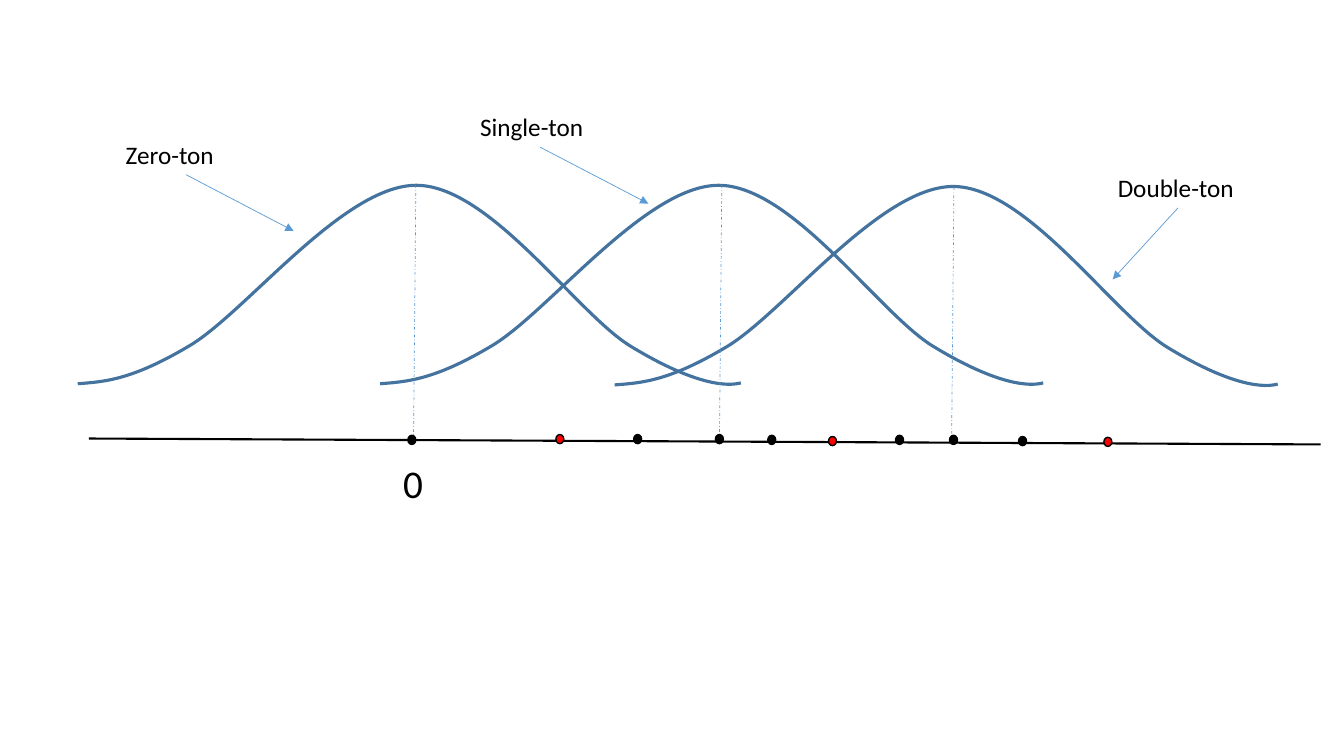
from lxml.etree import SubElement
from pptx import Presentation
from pptx.dml.color import RGBColor
from pptx.enum.dml import MSO_LINE_DASH_STYLE as DASH
from pptx.enum.shapes import MSO_CONNECTOR, MSO_SHAPE
from pptx.enum.text import MSO_AUTO_SIZE
from pptx.oxml.ns import qn
from pptx.util import Cm, Pt

BLACK, RED, BLUE, CURVE_BLUE = "000000", "FF0000", "5B9BD5", "43739E"

# Cubic Bezier points of a bell, in cm from its top-left corner:
# every third one lies on the curve, the others are its controls
BELL = [(0, 5), (0.69, 4.95), (1.37, 4.9), (2.79, 4.06), (4.22, 3.23),
        (6.68, 0), (8.53, 0), (10.39, 0), (12.57, 3.23), (13.94, 4.06),
        (15.29, 4.88), (16.21, 5.11), (16.71, 4.98)]
LABEL_WIDTH, LABEL_HEIGHT = 3.53, 1.02
DOT_WIDTH, DOT_HEIGHT = 0.2, 0.23
GUIDE_SHIFT, GUIDE_HEIGHT = -0.06, 6.53


def color(hex_string):
    return RGBColor.from_string(hex_string)


def style_line(line, hex_color, width):
    line.color.rgb = color(hex_color)
    line.width = Pt(width)


def add_line(diagram, start, end, hex_color, width, dash=None, arrow=False):
    line = diagram.add_connector(
        MSO_CONNECTOR.STRAIGHT, *(Cm(value) for value in (*start, *end)))
    style_line(line.line, hex_color, width)
    if dash:
        line.line.dash_style = dash
    properties = line._element.spPr
    if arrow:
        SubElement(properties.get_or_add_ln(), qn("a:tailEnd"), type="triangle")
    SubElement(properties, qn("a:effectLst"))


def add_text(diagram, text, left, top, width, height, size=18, hex_color=BLACK):
    box = diagram.add_textbox(Cm(left), Cm(top), Cm(width), Cm(height))
    frame = box.text_frame
    frame.word_wrap = True
    frame.auto_size = MSO_AUTO_SIZE.SHAPE_TO_FIT_TEXT
    span = frame.paragraphs[0].add_run()
    span.text = text
    span.font.name = "Calibri"
    span.font.size = Pt(size)
    span.font.color.rgb = color(hex_color)


def bend_segments(shape, points):
    """Turn the straight segments of a freeform into cubic Bezier curves."""
    segments = list(shape._element.iter(qn("a:lnTo")))
    for index, segment in enumerate(segments):
        segment.tag = qn("a:cubicBezTo")
        for child in list(segment):
            segment.remove(child)
        for x, y in points[3 * index + 1:3 * index + 4]:
            SubElement(segment, qn("a:pt"), x=str(Cm(x)), y=str(Cm(y)))


def add_bell(diagram, left, top):
    anchors = [(Cm(x), Cm(y)) for x, y in BELL[::3]]
    builder = diagram.build_freeform(*anchors[0])
    builder.add_line_segments(anchors[1:], close=False)
    bell = builder.convert_to_shape(Cm(left), Cm(top))
    bend_segments(bell, BELL)
    bell.shadow.inherit = False
    bell.fill.background()
    style_line(bell.line, CURVE_BLUE, 2.25)


def add_guide(diagram, left, top):
    add_line(diagram, (left, top), (left + GUIDE_SHIFT, top + GUIDE_HEIGHT),
             BLUE, 0.5, dash=DASH.DASH_DOT)


def add_dots(diagram, fill, corners):
    for left, top in corners:
        dot = diagram.add_shape(MSO_SHAPE.OVAL, Cm(left), Cm(top),
                                Cm(DOT_WIDTH), Cm(DOT_HEIGHT))
        dot.shadow.inherit = False
        dot.fill.solid()
        dot.fill.fore_color.rgb = color(fill)
        style_line(dot.line, BLACK, 1)


def add_label(diagram, text, left, top, target):
    """Add a curve's name with an arrow from below it to the target."""
    add_text(diagram, text, left, top, LABEL_WIDTH, LABEL_HEIGHT)
    start = (left + LABEL_WIDTH / 2, top + LABEL_HEIGHT)
    add_line(diagram, start, target, BLUE, 0.5, arrow=True)


def build_diagram(page):
    diagram = page.shapes.add_group_shape().shapes
    add_line(diagram, (2.24, 11.05), (33.28, 11.2), BLACK, 1.5)
    for corner in ((1.96, 4.67), (9.58, 4.67), (15.49, 4.7)):
        add_bell(diagram, *corner)
    for peak in ((10.48, 4.67), (18.19, 4.67), (24.04, 4.72)):
        add_guide(diagram, *peak)
    add_text(diagram, "0", 9.91, 11.46, 1.17, 1.45, size=28)
    add_dots(diagram, BLACK, [
        (10.28, 10.97), (15.97, 10.95), (19.35, 10.97), (23.93, 10.97),
        (22.57, 10.97), (25.67, 11), (18.03, 10.95)])
    add_label(diagram, "Zero-ton", 2.92, 3.38, (7.4, 5.82))
    add_label(diagram, "Single-ton", 11.85, 2.69, (16.34, 5.13))
    add_label(diagram, "Double-ton", 27.92, 4.22, (28.04, 7.04))
    add_dots(diagram, RED, [(14.01, 10.95), (20.88, 11), (27.82, 11.02)])


def main():
    deck = Presentation()
    deck.slide_width, deck.slide_height = Cm(33.87), Cm(19.05)
    build_diagram(deck.slides.add_slide(deck.slide_layouts[6]))
    deck.save("out.pptx")


if __name__ == "__main__":
    main()
